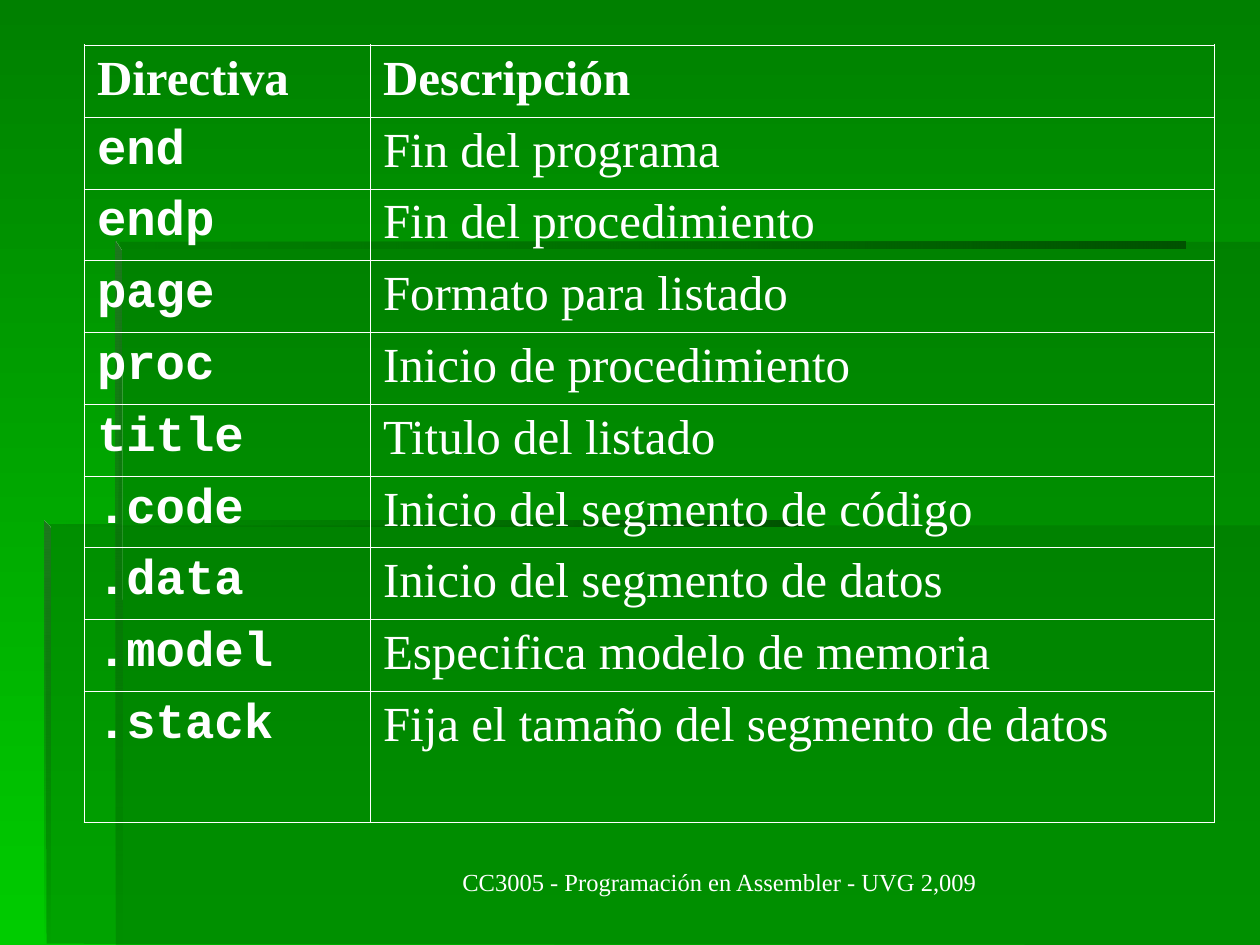
"""Build a slide with a table of assembler directives on a green backdrop."""
from lxml import etree
from pptx import Presentation
from pptx.dml.color import RGBColor
from pptx.enum.text import PP_ALIGN
from pptx.oxml.ns import qn
from pptx.util import Inches, Pt

CENTER = PP_ALIGN.CENTER
THEME = {
    "white": RGBColor.from_string("FFFFFF"),
    "panel": RGBColor.from_string("006600"),
    "top": RGBColor.from_string("008000"),
    "bottom": RGBColor.from_string("00CC00"),
    "shade": RGBColor.from_string("005300"),
    "glint": RGBColor.from_string("1E781E"),
    "serif": "Times New Roman",
    "mono": "Courier New",
    "table_size": Pt(28),
    "footer_size": Pt(14),
    "outer_line": Pt(1.08),
    "inner_line": Pt(0.45),
}
DOWN, LEFTWARD = 270, 180


def set_gradient(fill, start, end, angle):
    fill.gradient()
    fill.gradient_angle = angle
    for stop, color, position in zip(fill.gradient_stops, (start, end), (0, 1)):
        stop.color.rgb = color
        stop.position = position


def set_opacity(shape, percent):
    last_color = list(shape.fill._xPr.iter(qn("a:srgbClr")))[-1]
    etree.SubElement(last_color, qn("a:alpha")).set("val", str(percent * 1000))


prs = Presentation()
prs.slide_width, prs.slide_height = Inches(10), Inches(7.5)
slide = prs.slides.add_slide(prs.slide_layouts[6])
set_gradient(slide.background.fill, THEME["top"], THEME["bottom"], DOWN)

panels = [
    ([(0.95, 1.92), (0.94, 4.16), (0.36, 4.16), (0.37, 7.49), (10, 7.5), (10, 1.92)], 40),
    ([(0.92, 4.17), (0.92, 7.5), (10, 7.5), (10, 4.17)], 30),
]
edges = [
    ([(0.35, 4.13), (0.35, 4.18), (6.35, 4.18), (6.35, 4.13)], "shade", LEFTWARD),
    ([(0.92, 1.92), (0.92, 1.97), (9.41, 1.97), (9.41, 1.92)], "shade", LEFTWARD),
    ([(0.35, 4.13), (0.35, 7.53), (0.4, 7.53), (0.4, 4.19)], "glint", DOWN),
    ([(0.92, 1.92), (0.92, 7.52), (0.97, 7.52), (0.96, 1.99)], "glint", DOWN),
]
backdrop = slide.shapes.add_group_shape()
for outline, opacity, color, angle in (
    [(outline, opacity, None, None) for outline, opacity in panels]
    + [(outline, 0, color, angle) for outline, color, angle in edges]
):
    corners = [(Inches(x), Inches(y)) for x, y in outline]
    builder = backdrop.shapes.build_freeform(*corners[0])
    builder.add_line_segments(corners[1:], close=True)
    piece = builder.convert_to_shape()
    piece.shadow.inherit = False
    piece.line.fill.background()
    if color:
        set_gradient(piece.fill, THEME[color], THEME["panel"], angle)
    else:
        piece.fill.solid()
        piece.fill.fore_color.rgb = THEME["panel"]
    set_opacity(piece, opacity)

directives = [
    ("Directiva", "Descripción"),
    ("end", "Fin del programa"),
    ("endp", "Fin del procedimiento"),
    ("page", "Formato para listado"),
    ("proc", "Inicio de procedimiento"),
    ("title", "Titulo del listado"),
    (".code", "Inicio del segmento de código"),
    (".data", "Inicio del segmento de datos"),
    (".model", "Especifica modelo de memoria"),
    (".stack", "Fija el tamaño del segmento de datos"),
]
last = len(directives) - 1
directive_table = slide.shapes.add_table(
    len(directives), 2, Inches(0.67), Inches(0.36), Inches(8.97), Inches(6.17)
).table
directive_table.first_row = False
directive_table.horz_banding = False
for column, width in zip(directive_table.columns, (2.27, 6.7)):
    column.width = Inches(width)
for r, texts in enumerate(directives):
    directive_table.rows[r].height = Inches(1.04 if r == last else 0.57)
    for c, text in enumerate(texts):
        cell = directive_table.cell(r, c)
        cell.fill.background()
        paragraph = cell.text_frame.paragraphs[0]
        paragraph.text = text
        paragraph.space_before = Pt(7)
        font = paragraph.runs[0].font
        font.name = THEME["mono"] if r > 0 and c == 0 else THEME["serif"]
        font.size = THEME["table_size"]
        font.bold = r == 0 or c == 0
        font.color.rgb = THEME["white"]
        cell_props = cell._tc.get_or_add_tcPr()
        sides = [("lnL", c == 0), ("lnR", c == 1), ("lnT", r == 0), ("lnB", r == last)]
        for i, (side, outer) in enumerate(sides):
            border = etree.Element(qn(f"a:{side}"))
            border.set("w", str(int(THEME["outer_line" if outer else "inner_line"])))
            border_fill = etree.SubElement(border, qn("a:solidFill"))
            etree.SubElement(border_fill, qn("a:srgbClr")).set("val", str(THEME["white"]))
            cell_props.insert(i, border)

footer = slide.shapes.add_textbox(Inches(2.4), Inches(6.83), Inches(6.38), Inches(0.52))
footer.text_frame.word_wrap = True
footer.text_frame.margin_left = Inches(0.34)
course = footer.text_frame.paragraphs[0]
course.text = "CC3005 - Programación en Assembler - UVG 2,009"
course.alignment = CENTER
course_font = course.runs[0].font
course_font.name = THEME["serif"]
course_font.size = THEME["footer_size"]
course_font.color.rgb = THEME["white"]

prs.save("out.pptx")
